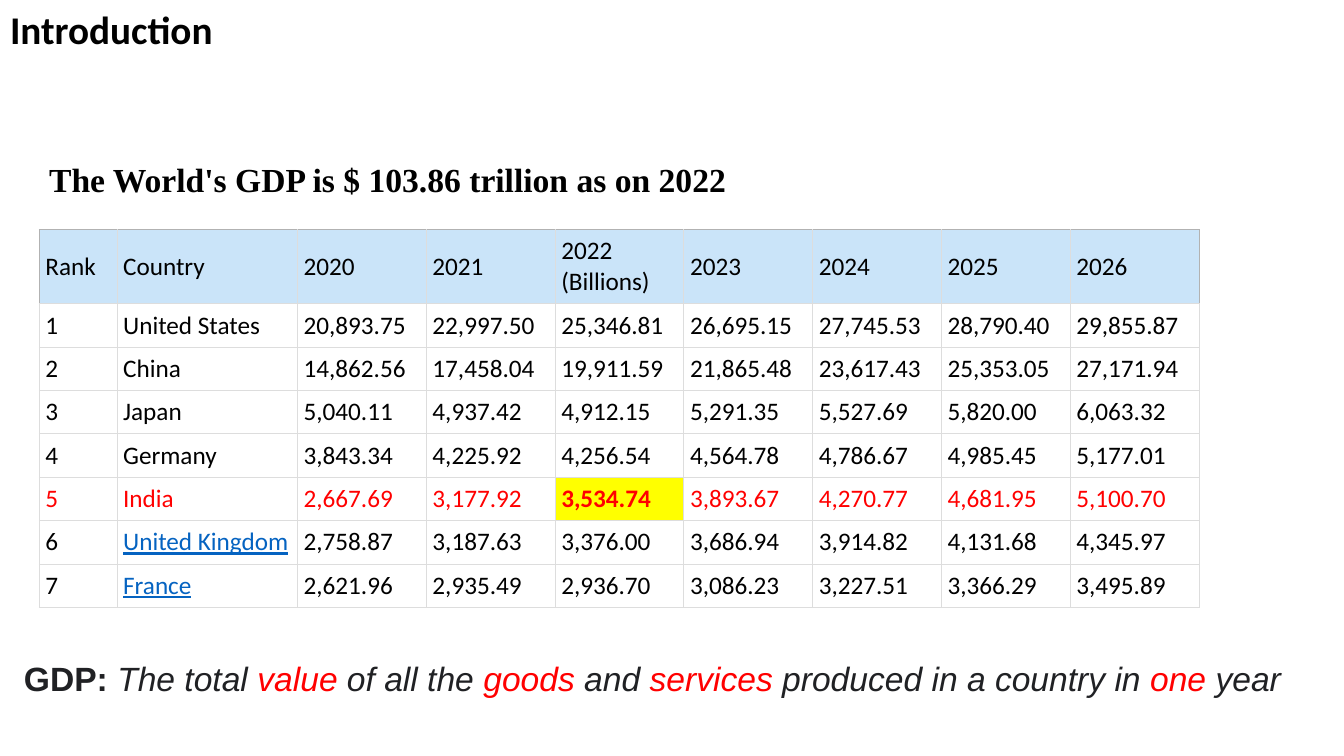
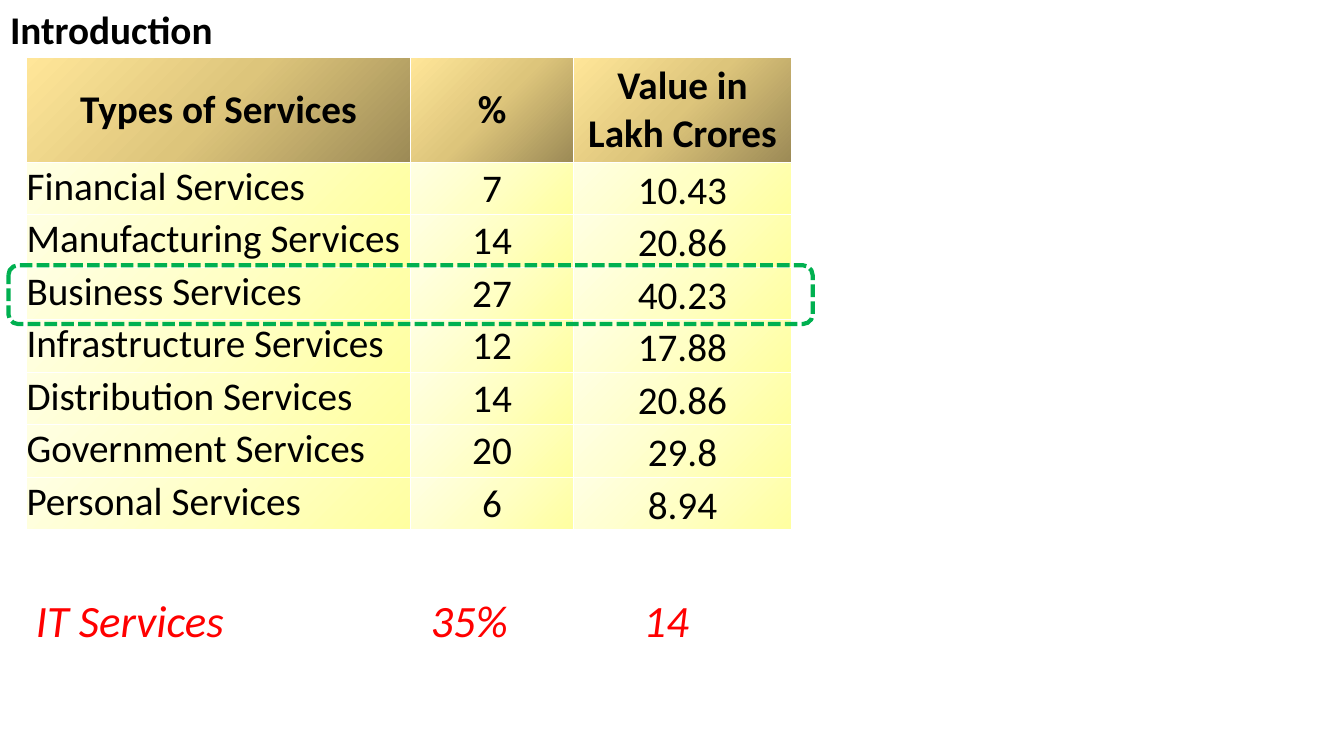
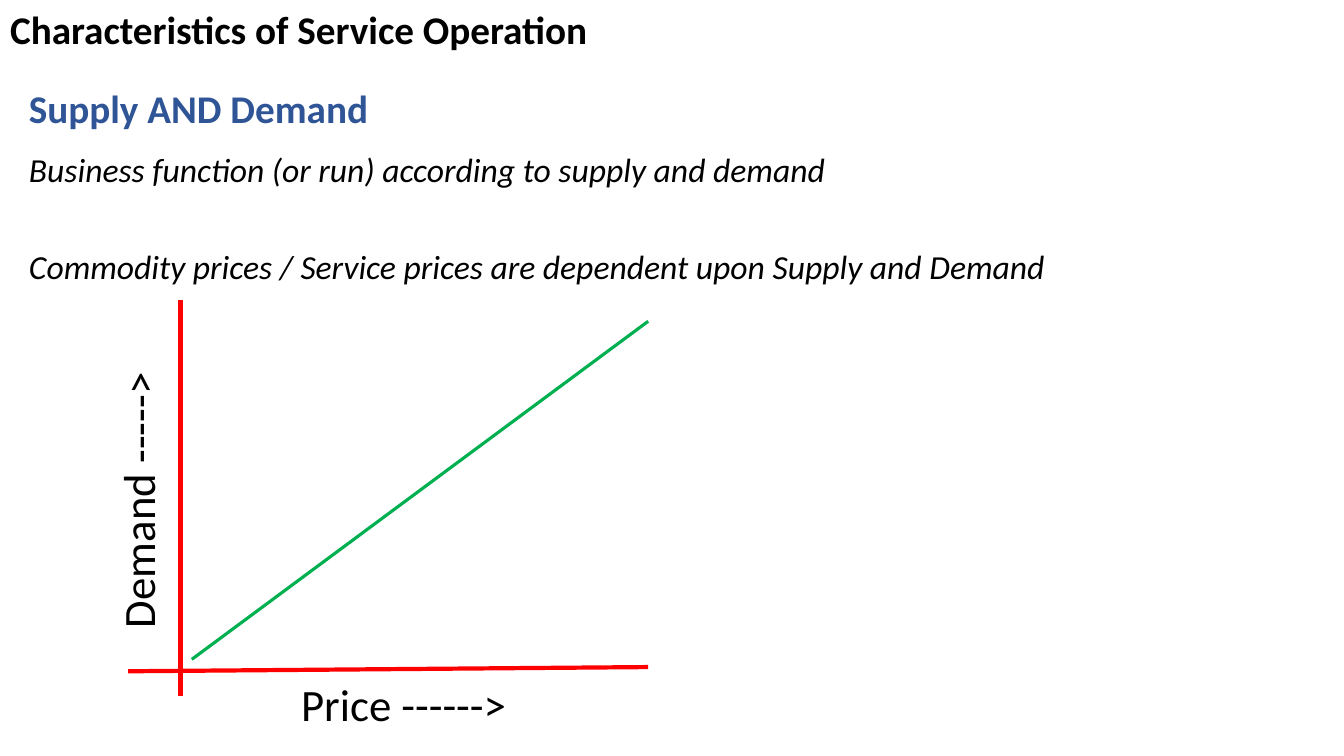
from dataclasses import dataclass, replace
from typing import NamedTuple, Optional, Sequence

from lxml.etree import SubElement
from pptx import Presentation
from pptx.dml.color import RGBColor
from pptx.enum.dml import MSO_LINE
from pptx.enum.shapes import MSO_CONNECTOR, MSO_SHAPE
from pptx.enum.text import MSO_ANCHOR, MSO_AUTO_SIZE, PP_ALIGN
from pptx.oxml.ns import qn
from pptx.util import Emu, Pt

SCALE = 6350  # EMU in one px, for a slide of 1920 x 1080 px


# Theme: colours and type sizes
@dataclass(frozen=True)
class Theme:
    black: str = "000000"
    white: str = "FFFFFF"
    red: str = "FF0000"
    green: str = "00B050"
    blue: str = "2F5597"
    link: str = "0563C1"
    ink: str = "202124"
    yellow: str = "FFFF00"
    sky: str = "CAE4F9"
    rule: str = "DDDDDD"
    edge: str = "B2B2B2"
    gold: tuple = ("9C8A56", "DDC57B", "FFE699")
    cream: tuple = ("FFFFA0", "FFFFC5", "FFFFE3")
    angle: int = 225
    cell: int = 18
    body: int = 24
    head: int = 28
    large: int = 32


T = Theme()


# Building blocks
@dataclass(frozen=True)
class Style:
    size: int = T.body
    color: str = T.black
    bold: bool = False
    slant: bool = False
    under: bool = False
    font: str = "Calibri"


class Run(NamedTuple):
    text: str
    style: Style


class Box(NamedTuple):
    left: int
    top: int
    width: int
    height: int


class Line(NamedTuple):
    start: tuple
    end: tuple
    color: str
    width: float


class Label(NamedTuple):
    box: Box
    runs: Sequence[Run]
    wrap: bool = True
    turn: int = 0
    tabs: Sequence[int] = ()


@dataclass(frozen=True)
class Cell:
    run: Run
    fill: object  # one colour, or a tuple of gradient stops
    rules: tuple  # left, right, top, bottom
    align: PP_ALIGN = PP_ALIGN.LEFT
    anchor: MSO_ANCHOR = MSO_ANCHOR.MIDDLE


class Grid(NamedTuple):
    left: int
    top: int
    cols: Sequence[int]
    rows: Sequence[int]
    cells: Sequence[Sequence[Cell]]
    inset: tuple  # left, right, top, bottom
    rule: float


HEAD = Style(T.head, bold=True)
NOTE = Style(slant=True)
AXIS = Style(T.large)


def px(num: int) -> Emu:
    return Emu(num * SCALE)


def rgb(code: str) -> RGBColor:
    return RGBColor.from_string(code)


def write(para, runs: Sequence[Run]) -> None:
    for text, style in runs:
        for num, part in enumerate(text.split("\n")):
            if num:
                para.add_line_break()
            run = para.add_run()
            run.text = part
            font = run.font
            font.name, font.size = style.font, Pt(style.size)
            font.bold, font.italic = style.bold, style.slant
            font.underline = style.under
            font.color.rgb = rgb(style.color)


def place(shape, box: Box) -> None:
    shape.left, shape.top, shape.width, shape.height = map(px, box)


def frame(shape, wrap: bool = True):
    text = shape.text_frame
    text.word_wrap = wrap
    text.auto_size = MSO_AUTO_SIZE.NONE
    text.vertical_anchor = MSO_ANCHOR.TOP
    return text


def start(deck, layout: int, title: str, width: int, wrap: bool):
    slide = deck.slides.add_slide(deck.slide_layouts[layout])
    shape = slide.shapes.title
    place(shape, Box(0, 0, width, 82))
    para = frame(shape, wrap).paragraphs[0]
    para.alignment = PP_ALIGN.LEFT
    write(para, [Run(title, HEAD)])
    return slide


def label(slide, item: Label) -> None:
    shape = slide.shapes.add_textbox(*map(px, item.box))
    shape.rotation = item.turn
    para = frame(shape, item.wrap).paragraphs[0]
    if item.tabs:
        stops = SubElement(para._p.get_or_add_pPr(), qn("a:tabLst"))
        for stop in item.tabs:
            SubElement(stops, qn("a:tab"), pos=str(px(stop)), algn="l")
    write(para, item.runs)


def body(slide, box: Box, lines: Sequence[str], gap: int) -> None:
    shape = slide.placeholders[1]
    place(shape, box)
    text = frame(shape)
    for num, line in enumerate(lines):
        para = text.add_paragraph() if num else text.paragraphs[0]
        props = para._p.get_or_add_pPr()
        props.set("marL", "0")
        props.set("indent", "0")
        SubElement(props, qn("a:buNone"))
        para.space_before = Pt(gap if num else 0)
        write(para, [Run(line, NOTE)])


def draw(slide, line: Line) -> None:
    ends = map(px, line.start + line.end)
    shape = slide.shapes.add_connector(MSO_CONNECTOR.STRAIGHT, *ends)
    shape.line.color.rgb = rgb(line.color)
    shape.line.width = Pt(line.width)
    SubElement(shape._element.spPr, qn("a:effectLst"))


def tint(parent, code: str) -> None:
    SubElement(parent, qn("a:srgbClr"), val=code)


def paint(cell, item: Cell, rule: float) -> None:
    props = cell._tc.get_or_add_tcPr()
    for side, code in zip("LRTB", item.rules):
        edge = SubElement(props, qn("a:ln" + side), w=str(Pt(rule)))
        tint(SubElement(edge, qn("a:solidFill")), code)
    if isinstance(item.fill, str):
        tint(SubElement(props, qn("a:solidFill")), item.fill)
        return
    grad = SubElement(props, qn("a:gradFill"), rotWithShape="1")
    stops = SubElement(grad, qn("a:gsLst"))
    for num, code in enumerate(item.fill):
        tint(SubElement(stops, qn("a:gs"), pos=str(num * 50000)), code)
    SubElement(grad, qn("a:lin"), ang=str(T.angle * 60000), scaled="0")


def table(slide, grid: Grid) -> None:
    box = Box(grid.left, grid.top, sum(grid.cols), sum(grid.rows))
    size = len(grid.rows), len(grid.cols)
    tab = slide.shapes.add_table(*size, *map(px, box)).table
    tab.first_row = tab.horz_banding = False
    for col, width in zip(tab.columns, grid.cols):
        col.width = px(width)
    for row, high, items in zip(tab.rows, grid.rows, grid.cells):
        row.height = px(high)
        for cell, item in zip(row.cells, items):
            (cell.margin_left, cell.margin_right,
             cell.margin_top, cell.margin_bottom) = map(px, grid.inset)
            cell.vertical_anchor = item.anchor
            para = cell.text_frame.paragraphs[0]
            para.alignment = item.align
            write(para, [item.run])
            paint(cell, item, grid.rule)


# Content of the tables
YEARS = ("Rank", "Country", "2020", "2021", "2022 (Billions)",
         "2023", "2024", "2025", "2026")
GDP = (
    ("United States", "20,893.75", "22,997.50", "25,346.81", "26,695.15",
     "27,745.53", "28,790.40", "29,855.87"),
    ("China", "14,862.56", "17,458.04", "19,911.59", "21,865.48",
     "23,617.43", "25,353.05", "27,171.94"),
    ("Japan", "5,040.11", "4,937.42", "4,912.15", "5,291.35",
     "5,527.69", "5,820.00", "6,063.32"),
    ("Germany", "3,843.34", "4,225.92", "4,256.54", "4,564.78",
     "4,786.67", "4,985.45", "5,177.01"),
    ("India", "2,667.69", "3,177.92", "3,534.74", "3,893.67",
     "4,270.77", "4,681.95", "5,100.70"),
    ("United Kingdom", "2,758.87", "3,187.63", "3,376.00", "3,686.94",
     "3,914.82", "4,131.68", "4,345.97"),
    ("France", "2,621.96", "2,935.49", "2,936.70", "3,086.23",
     "3,227.51", "3,366.29", "3,495.89"),
)
LINKS = ("United Kingdom", "France")
TYPES = ("Types of Services", "%", "Value in\nLakh Crores")
SHARES = (
    ("Financial Services", "7", "10.43"),
    ("Manufacturing Services", "14", "20.86"),
    ("Business Services", "27", "40.23"),
    ("Infrastructure Services", "12", "17.88"),
    ("Distribution Services", "14", "20.86"),
    ("Government Services", "20", "29.8"),
    ("Personal Services", "6", "8.94"),
)


def ranks() -> list:
    plain = Style(T.cell)
    last = len(YEARS) - 1
    top = [Cell(Run(text, plain), T.sky,
                (T.rule if num else T.edge,
                 T.edge if num == last else T.rule, T.edge, T.rule))
           for num, text in enumerate(YEARS)]
    rows = [top]
    for rank, data in enumerate(GDP, 1):
        row = []
        for num, text in enumerate((str(rank), *data)):
            style, fill = plain, T.white
            if data[0] == "India":
                key = num == 4
                style = replace(plain, color=T.red, bold=key)
                fill = T.yellow if key else T.white
            elif text in LINKS:
                style = replace(plain, color=T.link, under=True)
            row.append(Cell(Run(text, style), fill, (T.rule,) * 4))
        rows.append(row)
    return rows


def shares() -> list:
    rules = (T.white,) * 4
    mid = PP_ALIGN.CENTER
    plain = replace(HEAD, bold=False)
    forms = ((PP_ALIGN.LEFT, MSO_ANCHOR.TOP), (mid, MSO_ANCHOR.MIDDLE),
             (mid, MSO_ANCHOR.BOTTOM))
    top = [Cell(Run(text, HEAD), T.gold, rules, mid) for text in TYPES]
    return [top] + [[Cell(Run(text, plain), T.cream, rules, *form)
                     for text, form in zip(data, forms)] for data in SHARES]


# Slides
def world(deck) -> None:
    slide = start(deck, 5, "Introduction", 323, False)
    table(slide, Grid(56, 328, (111, 258) + (184,) * 7, (105,) + (62,) * 7,
                      ranks(), (9, 9, 9, 9), 0.6))
    serif = Style(bold=True, font="Times New Roman")
    label(slide, Label(Box(56, 220, 1005, 72), [
        Run("The World's GDP is $ 103.86 trillion as on 2022", serif)], False))
    bold = Style(color=T.ink, bold=True, font="Arial")
    soft = replace(bold, bold=False, slant=True)
    key = replace(soft, color=T.red)
    label(slide, Label(Box(20, 933, 1863, 72), [
        Run("GDP: ", bold), Run("The total ", soft), Run("value", key),
        Run(" of all the ", soft), Run("goods", key), Run(" and ", soft),
        Run("services", key), Run(" produced in a country in ", soft),
        Run("one", key), Run(" year", soft)]))


def types(deck) -> None:
    slide = start(deck, 5, "Introduction", 323, False)
    table(slide, Grid(37, 82, (550, 232, 312), (150,) + (75,) * 7,
                      shares(), (1, 1, 1, 0), 1))
    # Dashed frame round the largest share
    mark = slide.shapes.add_shape(MSO_SHAPE.ROUNDED_RECTANGLE,
                                  *map(px, Box(12, 379, 1149, 84)))
    mark.shadow.inherit = False
    mark.fill.background()
    mark.line.color.rgb = rgb(T.green)
    mark.line.width = Pt(3)
    mark.line.dash_style = MSO_LINE.SQUARE_DOT
    total = Style(T.large, T.red, slant=True)
    label(slide, Label(Box(37, 840, 1109, 92), [
        Run("IT Services\t35%\t14", total)], tabs=(564, 868)))


def supply(deck) -> None:
    slide = start(deck, 1, "Characteristics of Service Operation", 1629, True)
    label(slide, Label(Box(27, 114, 550, 82), [
        Run("Supply AND Demand", replace(HEAD, color=T.blue))]))
    body(slide, Box(27, 206, 1738, 210), (
        "Business function (or run) according to supply and demand",
        "Commodity prices / Service prices are dependent upon "
        "Supply and Demand"), 40)
    # Axes, their names and the curve
    draw(slide, Line((258, 428), (258, 994), T.red, 3))
    draw(slide, Line((926, 953), (183, 959), T.red, 3))
    label(slide, Label(Box(416, 959, 480, 92), [Run("Price ------>", AXIS)]))
    label(slide, Label(Box(-37, 632, 467, 92), [Run("Demand ----->", AXIS)],
                       turn=270))
    draw(slide, Line((274, 942), (926, 459), T.green, 2.25))


def main() -> None:
    deck = Presentation()
    deck.slide_width, deck.slide_height = px(1920), px(1080)
    for build in (world, types, supply):
        build(deck)
    deck.save("out.pptx")


if __name__ == "__main__":
    main()
